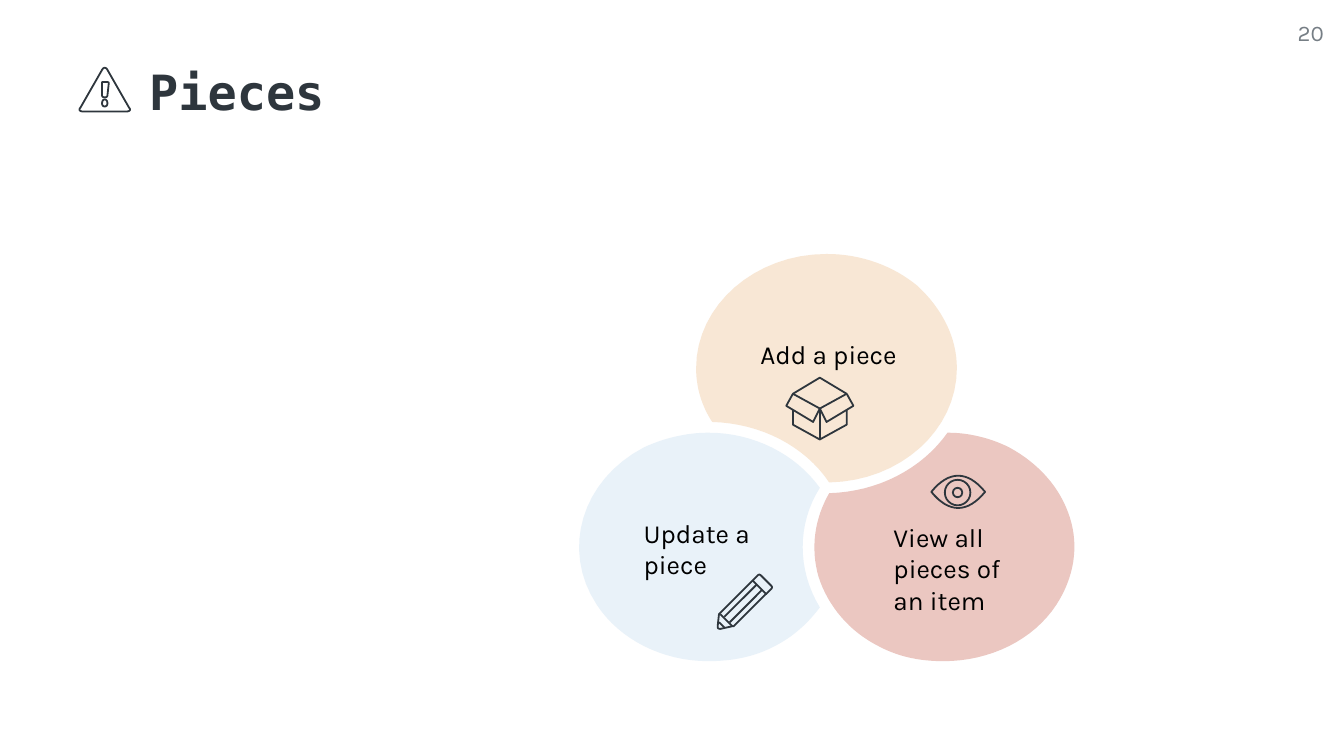
import dataclasses
import typing

import lxml.etree
import pptx
import pptx.dml.color
import pptx.enum.shapes
import pptx.enum.text
import pptx.oxml.ns
import pptx.util

Inches = pptx.util.Inches
Point = tuple[float, ...]
HUES = {"ink": "2E363D", "grey": "767E85", "black": "000000",
        "rose": "EBC7C1", "sand": "F8E7D5", "sky": "E9F2F9"}


@dataclasses.dataclass
class Path:
    rings: list[list[Point]]
    fill: str = ""
    closed: bool = True


@dataclasses.dataclass
class Oval:
    left: float
    top: float
    size: float


@dataclasses.dataclass
class Line:
    start: Point
    end: Point


@dataclasses.dataclass
class Label:
    text: str
    left: float
    top: float


PETALS = [
    Path([[(6.17, 3.67), (6.06, 3.86, 6.03, 4.08, 6.09, 4.29),
           (6.16, 4.51, 6.32, 4.7, 6.54, 4.81), (6.69, 4.89, 6.85, 4.92, 7.02, 4.92),
           (7.37, 4.92, 7.69, 4.76, 7.86, 4.5), (7.99, 4.3, 8.03, 4.07, 7.96, 3.85),
           (7.89, 3.63, 7.73, 3.45, 7.51, 3.33), (7.37, 3.26, 7.21, 3.22, 7.05, 3.22),
           (6.86, 3.49, 6.53, 3.66, 6.17, 3.67)]], "rose"),
    Path([[(6.83, 2.13), (6.65, 1.98, 6.41, 1.89, 6.15, 1.89),
           (5.62, 1.89, 5.18, 2.27, 5.18, 2.74), (5.18, 2.88, 5.22, 3.02, 5.3, 3.14),
           (5.66, 3.15, 5.99, 3.32, 6.17, 3.59), (6.7, 3.58, 7.12, 3.2, 7.12, 2.74),
           (7.12, 2.51, 7.01, 2.3, 6.83, 2.13)]], "sand"),
    Path([[(6.1, 3.63), (5.92, 3.38, 5.61, 3.22, 5.27, 3.22),
           (5.11, 3.22, 4.94, 3.26, 4.79, 3.33), (4.33, 3.57, 4.17, 4.09, 4.44, 4.5),
           (4.61, 4.76, 4.93, 4.92, 5.27, 4.92), (5.44, 4.92, 5.61, 4.89, 5.76, 4.81),
           (5.9, 4.74, 6.01, 4.64, 6.1, 4.52), (5.93, 4.24, 5.93, 3.9, 6.1, 3.63)]], "sky"),
]
FLAPS = [Path([[(6.1 + side * x, y) for x, y in
                [(0.05, 3.14), (0.25, 3.02), (0.2, 2.93), (0, 3.04)]]])
         for side in (-1, 1)]
BOX = [
    Path([[(5.9, 3.05), (5.9, 3.16), (6.1, 3.27), (6.3, 3.16), (6.3, 3.05)]], closed=False),
    Path([[(6.3, 2.93), (6.1, 2.81), (5.9, 2.93)]], closed=False),
    *FLAPS,
    Line((6.1, 3.04), (6.1, 3.27)),
]
EYE = [
    Path([[(6.93, 3.66), (7.06, 3.5, 7.2, 3.5, 7.33, 3.66),
           (7.2, 3.82, 7.06, 3.82, 6.93, 3.66)]]),
    Oval(7.09, 3.63, 0.07),
    Oval(7.03, 3.57, 0.19),
]
PENCIL = [
    Path([[(5.74, 4.36), (5.66, 4.28), (5.66, 4.28, 5.65, 4.27, 5.64, 4.28),
           (5.6, 4.32), (5.7, 4.42), (5.74, 4.38), (5.74, 4.38, 5.75, 4.37, 5.74, 4.36)]]),
    Line((5.67, 4.39), (5.43, 4.63)),
    Path([[(5.6, 4.32), (5.36, 4.56), (5.35, 4.57), (5.34, 4.66),
           (5.34, 4.67, 5.34, 4.68, 5.36, 4.68), (5.45, 4.66), (5.46, 4.66),
           (5.7, 4.42)]], closed=False),
    Line((5.39, 4.59), (5.63, 4.35)),
    Line((5.39, 4.67), (5.35, 4.63)),
    Path([[(5.36, 4.57), (5.45, 4.66)]], closed=False),
]
ALERT = [Path([
    [(0.96, 0.8), (0.8, 0.52), (0.79, 0.5, 0.77, 0.5, 0.76, 0.52), (0.6, 0.8),
     (0.58, 0.82, 0.6, 0.83, 0.62, 0.83), (0.94, 0.83), (0.96, 0.83, 0.98, 0.82, 0.96, 0.8)],
    [(0.76, 0.77), (0.76, 0.73, 0.8, 0.73, 0.8, 0.77), (0.8, 0.8, 0.76, 0.8, 0.76, 0.77)],
    [(0.81, 0.62), (0.8, 0.71), (0.8, 0.73, 0.76, 0.73, 0.76, 0.71), (0.76, 0.62),
     (0.76, 0.61, 0.76, 0.61, 0.77, 0.61), (0.79, 0.61), (0.8, 0.61, 0.81, 0.61, 0.81, 0.62)],
])]
LABELS = [
    Label("Add a piece", 5.56, 2.42),
    Label("View all pieces of an item", 6.55, 3.78),
    Label("Update a piece", 4.69, 3.75),
]


def tint(name: str) -> pptx.dml.color.RGBColor:
    return pptx.dml.color.RGBColor.from_string(HUES[name])


def trace(ring: list[Point], steps: int = 16) -> list[tuple[int, int]]:
    dots = [ring[0]]
    for part in ring[1:]:
        if len(part) == 2:
            dots.append(part)
            continue
        nodes = [dots[-1], part[:2], part[2:4], part[4:]]
        for step in range(1, steps + 1):
            t = step / steps
            mix = ((1 - t) ** 3, 3 * t * (1 - t) ** 2, 3 * t * t * (1 - t), t ** 3)
            dots.append(tuple(sum(m * n[axis] for m, n in zip(mix, nodes)) for axis in (0, 1)))
    return [(Inches(x), Inches(y)) for x, y in dots]


def outline(shapes: typing.Any, path: Path) -> typing.Any:
    rings = [trace(ring) for ring in path.rings]
    pen = shapes.build_freeform(*rings[0][0], scale=1.0)
    for index, ring in enumerate(rings):
        if index:
            pen.move_to(*ring[0])
        pen.add_line_segments(ring[1:], close=path.closed)
    return pen.convert_to_shape()


def draw(slide: typing.Any, parts: list[Path | Oval | Line]) -> None:
    shapes = slide.shapes.add_group_shape().shapes if len(parts) > 1 else slide.shapes
    for part in parts:
        if isinstance(part, Line):
            ends = [Inches(v) for v in part.start + part.end]
            shape = shapes.add_connector(pptx.enum.shapes.MSO_CONNECTOR.STRAIGHT, *ends)
            lxml.etree.SubElement(shape._element.spPr, pptx.oxml.ns.qn("a:effectLst"))
        else:
            if isinstance(part, Oval):
                shape = shapes.add_shape(pptx.enum.shapes.MSO_SHAPE.OVAL, Inches(part.left),
                                         Inches(part.top), Inches(part.size), Inches(part.size))
            else:
                shape = outline(shapes, part)
            shape.shadow.inherit = False
            shape.fill.background()
        if isinstance(part, Path) and part.fill:
            shape.fill.solid()
            shape.fill.fore_color.rgb = tint(part.fill)
            shape.line.fill.background()
        else:
            shape.line.color.rgb = tint("ink")
            shape.line.width = pptx.util.Pt(0.96)


def write(slide: typing.Any, text: str, *, at: Point, size: float = 14, font: str = "Karla",
          hue: str = "black", bold: bool = False, right: bool = False, pad: float = 0) -> None:
    frame = slide.shapes.add_textbox(*map(Inches, at)).text_frame
    frame.word_wrap = True
    frame.margin_left = frame.margin_right = Inches(pad)
    frame.margin_top = frame.margin_bottom = Inches(pad)
    para = frame.paragraphs[0]
    align = pptx.enum.text.PP_ALIGN
    para.alignment = align.RIGHT if right else align.LEFT
    run = para.add_run()
    run.text = text
    run.font.name, run.font.size, run.font.bold = font, pptx.util.Pt(size), bold
    run.font.color.rgb = tint(hue)


def main() -> None:
    """Build the slide of three actions on pieces."""
    deck = pptx.Presentation()
    deck.slide_width = Inches(10)
    deck.slide_height = deck.slide_width * 9 // 16
    slide = deck.slides.add_slide(deck.slide_layouts[6])
    write(slide, "20", at=(9.25, 0.14, 0.6, 0.43), size=12, hue="grey", right=True)
    write(slide, "Pieces", at=(1.11, 0.46, 1.31, 0.74), size=26,
          font="DejaVu Sans Mono", hue="ink", bold=True)
    draw(slide, PETALS)
    for label in LABELS:
        write(slide, label.text, at=(label.left, label.top, 1.23, 0.56), pad=0.1)
    for icon in (BOX, EYE, PENCIL, ALERT):
        draw(slide, icon)
    deck.save("out.pptx")


if __name__ == "__main__":
    main()
